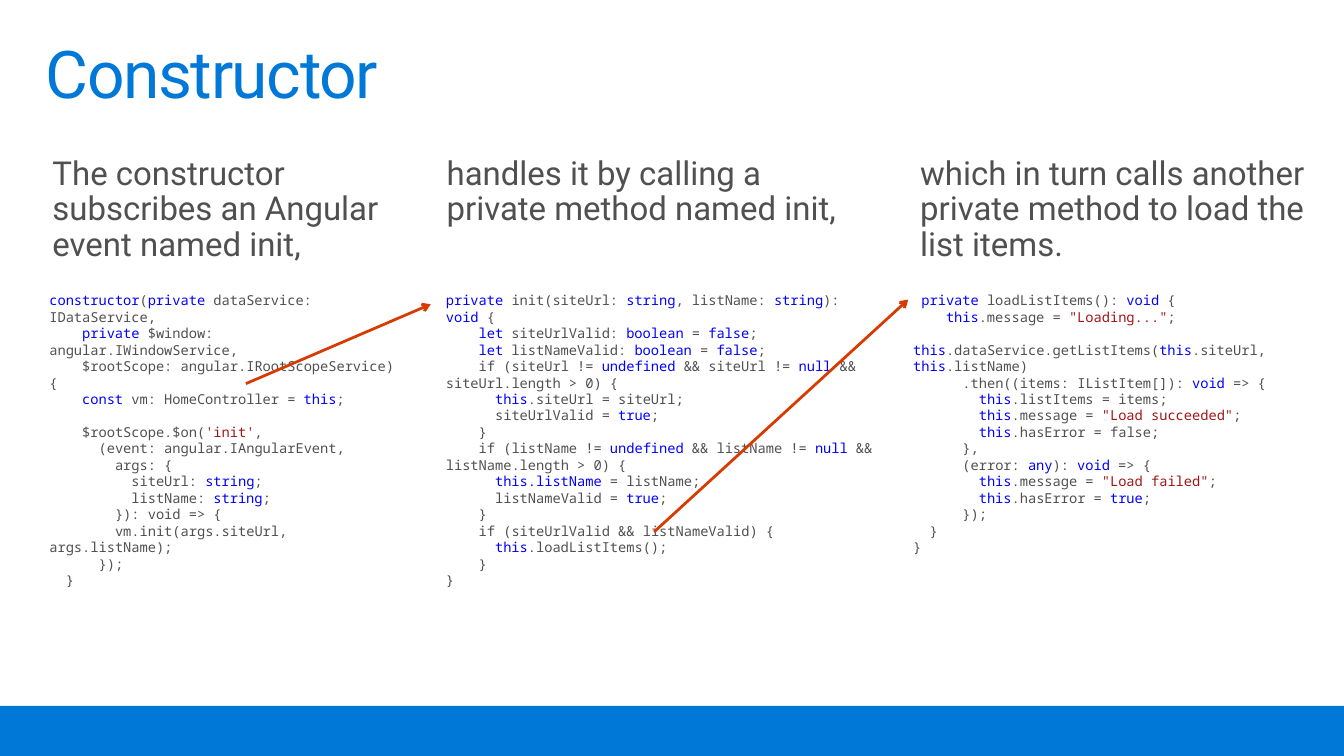
from pptx import Presentation
from pptx.dml.color import RGBColor
from pptx.enum.shapes import MSO_CONNECTOR as LINE, MSO_SHAPE as SHAPE
from pptx.enum.text import MSO_ANCHOR as ANCHOR, MSO_AUTO_SIZE as AUTO, PP_ALIGN as ALIGN
from pptx.oxml.ns import qn
from pptx.util import Cm, Pt
from lxml import etree

BLUE = RGBColor(0x00, 0x78, 0xD7)
GREY = RGBColor(0x50, 0x50, 0x50)
KEYWORD = RGBColor(0x00, 0x00, 0xFF)
LITERAL = RGBColor(0xA3, 0x15, 0x15)
ORANGE = RGBColor(0xD8, 0x3B, 0x01)

PROSE_TOP, CODE_TOP = 3.78, 7.09
PROSE_INSETS = (0.41, 0.25)
CODE_INSETS = (0.51, 0.41)

# Backticks enclose the highlighted parts of the code
CONSTRUCTOR_CODE = """\
`constructor`(`private `dataService: IDataService,
    `private` $window: angular.IWindowService,
    $rootScope: angular.IRootScopeService) {
    `const `vm: HomeController = `this`;

    $rootScope.$on(`'init'`,
      (event: angular.IAngularEvent,
        args: {
          siteUrl: `string`;
          listName: `string`;
        }): void => {
        vm.init(args.siteUrl, args.listName);
      });
  }"""

INIT_CODE = """\
`private `init(siteUrl: `string`, listName: `string`): `void` {
    `let `siteUrlValid: `boolean` = `false`;
    `let `listNameValid: `boolean` = `false`;
    if (siteUrl != `undefined` && siteUrl != `null` && siteUrl.length > 0) {
      `this`.siteUrl = siteUrl;
      siteUrlValid = `true`;
    }
    if (listName != `undefined` && listName != `null` && listName.length > 0) {
      `this.listName` = listName;
      listNameValid = `true`;
    }
    if (siteUrlValid && listNameValid) {
      `this`.loadListItems();
    }
}"""

LOAD_CODE = """\
` private `loadListItems(): `void` {
    `this`.message = `"Loading..."`;
    `this`.dataService.getListItems(`this`.siteUrl, `this`.listName)
      .then((items: IListItem[]): `void` => {
        `this`.listItems = items;
        `this`.message = `"Load succeeded"`;
        `this`.hasError = false;
      },
      (error: `any`): `void` => {
        `this`.message = `"Load failed"`;
        `this`.hasError = `true`;
      });
  }
}"""

# Each step: sentence and its box, code and its box (left, width, height in cm)
STEPS = [
    ("The constructor subscribes an Angular event named init,", (0.94, 10.01, 3.28),
     CONSTRUCTOR_CODE, (0.76, 10.01, 6.81)),
    ("handles it by calling a private method named init,", (11.07, 11.15, 2.36),
     INIT_CODE, (10.95, 12.01, 8.08)),
    ("which in turn calls another private method to load the list items.",
     (23.24, 11.3, 3.28), LOAD_CODE, (22.96, 10.21, 7.24)),
]
CALLS = [((6.32, 9.86), (11.07, 7.82)), ((16.81, 13.67), (23.34, 7.7))]


def piece_color(index, piece, base):
    if index % 2 == 0:
        return base
    return LITERAL if piece[0] in "'\"" else KEYWORD


def write(frame, text, font="Roboto", size=24, color=GREY, line_spacing=None,
          insets=PROSE_INSETS, tracking=None):
    frame.word_wrap = True
    frame.auto_size = AUTO.NONE
    frame.vertical_anchor = ANCHOR.TOP
    frame.margin_left = frame.margin_right = Cm(insets[0])
    frame.margin_top = frame.margin_bottom = Cm(insets[1])
    for number, line in enumerate(text.split("\n")):
        paragraph = frame.add_paragraph() if number else frame.paragraphs[0]
        paragraph.alignment = ALIGN.LEFT
        paragraph.line_spacing = line_spacing
        paragraph.font.name = font
        paragraph.font.size = Pt(size)
        for index, piece in enumerate(line.split("`")):
            if not piece:
                continue
            run = paragraph.add_run()
            run.text = piece
            run.font.name = font
            run.font.size = Pt(size)
            run.font.color.rgb = piece_color(index, piece, color)
            if tracking is not None:
                run._r.get_or_add_rPr().set("spc", str(tracking))


def add_text(slide, text, top, box, **style):
    left, width, height = box
    area = slide.shapes.add_textbox(Cm(left), Cm(top), Cm(width), Cm(height))
    write(area.text_frame, text, **style)


def add_arrow(slide, start, end):
    arrow = slide.shapes.add_connector(LINE.STRAIGHT, *map(Cm, start + end))
    arrow.line.color.rgb = ORANGE
    arrow.line.width = Pt(2)
    etree.SubElement(arrow.line._get_or_add_ln(), qn("a:tailEnd"), type="arrow")
    etree.SubElement(arrow._element.spPr, qn("a:effectLst"))


def add_footer_bar(slide):
    bar = slide.shapes.add_shape(SHAPE.RECTANGLE, Cm(0), Cm(18.14), Cm(34.54), Cm(1.3))
    bar.shadow.inherit = False
    bar.fill.solid()
    bar.fill.fore_color.rgb = BLUE
    bar.line.fill.background()


def set_title(slide, text):
    title = slide.shapes.title
    title.left, title.top, title.width, title.height = map(Cm, (0.76, 0.81, 33.02, 2.54))
    write(title.text_frame, text, size=48, color=BLUE, line_spacing=0.9, tracking=-100)


def main():
    deck = Presentation()
    deck.slide_width, deck.slide_height = Cm(34.54), Cm(19.43)
    slide = deck.slides.add_slide(deck.slide_layouts[5])

    # Frame of the slide
    add_footer_bar(slide)
    set_title(slide, "Constructor")

    # Sentence above the code of each step
    for sentence, sentence_box, code, code_box in STEPS:
        add_text(slide, sentence, PROSE_TOP, sentence_box, line_spacing=0.9)
        add_text(slide, code, CODE_TOP, code_box, font="Noto Sans Mono", size=10,
                 insets=CODE_INSETS)

    # Arrows from each call to the method called
    for caller, method in CALLS:
        add_arrow(slide, caller, method)

    deck.save("out.pptx")


if __name__ == "__main__":
    main()
